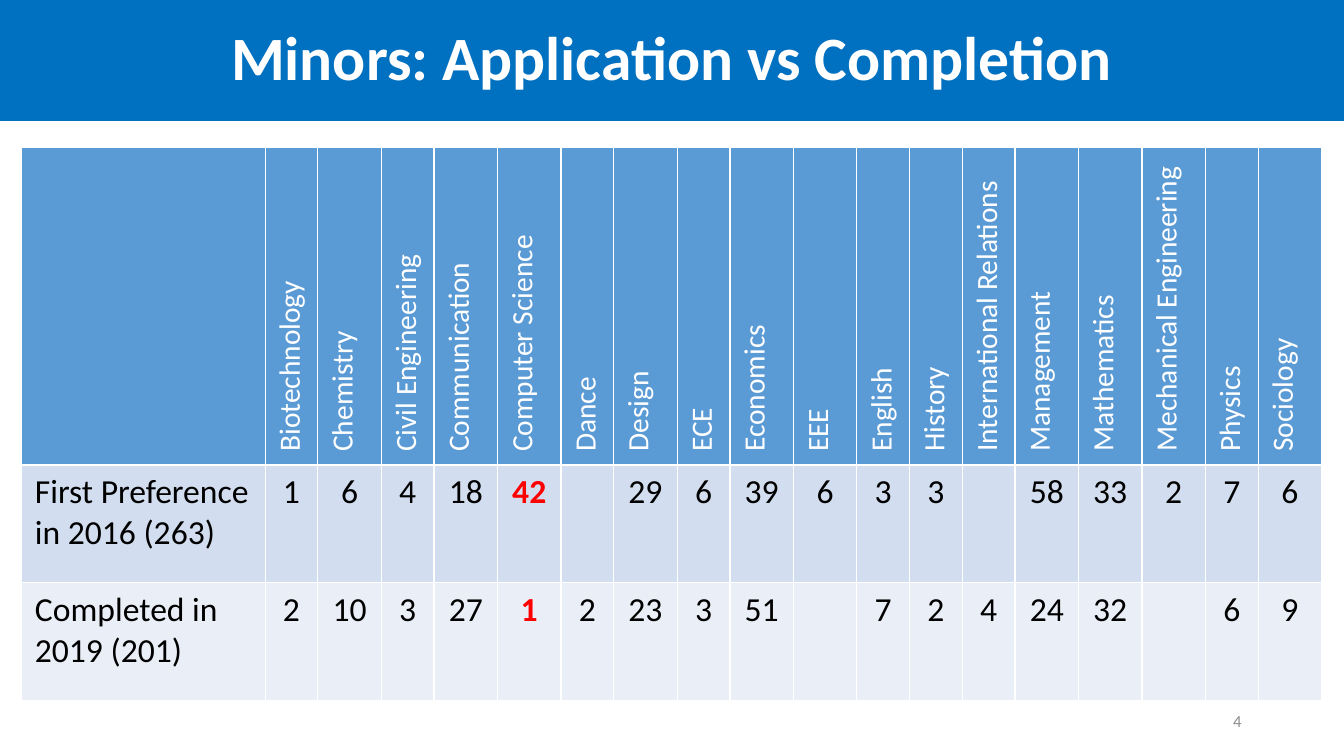
from pptx import Presentation
from pptx.dml.color import RGBColor
from pptx.enum.text import MSO_ANCHOR as Anchor, MSO_AUTO_SIZE as AutoSize, PP_ALIGN as Align
from pptx.util import Pt

FONT = "Calibri"
WHITE = RGBColor(0xFF, 0xFF, 0xFF)
BLACK = RGBColor(0, 0, 0)
RED = RGBColor(0xFF, 0, 0)
GREY = RGBColor(0x8C, 0x8C, 0x8C)
TITLE_BLUE = RGBColor(0x00, 0x70, 0xC0)
HEADER_BLUE = RGBColor(0x5B, 0x9B, 0xD5)
ROW_FILLS = [RGBColor(0xD2, 0xDE, 0xEF), RGBColor(0xEA, 0xEF, 0xF7)]

LABEL_WIDTH, NARROW, WIDE = 174, 37.7, 45.35
HEADER_HEIGHT = 226.8
ROW_LABELS = ["First Preference in 2016 (263)", "Completed in 2019 (201)"]
HIGHLIGHT = "Computer Science"
# Minor, column width, first preferences, completions
MINORS = [
    ("Biotechnology", NARROW, "1", "2"),
    ("Chemistry", WIDE, "6", "10"),
    ("Civil Engineering", NARROW, "4", "3"),
    ("Communication", WIDE, "18", "27"),
    ("Computer Science", WIDE, "42", "1"),
    ("Dance", NARROW, "", "2"),
    ("Design", WIDE, "29", "23"),
    ("ECE", NARROW, "6", "3"),
    ("Economics", WIDE, "39", "51"),
    ("EEE", WIDE, "6", ""),
    ("English", NARROW, "3", "7"),
    ("History", NARROW, "3", "2"),
    ("International Relations", NARROW, "", "4"),
    ("Management", WIDE, "58", "24"),
    ("Mathematics", WIDE, "33", "32"),
    ("Mechanical Engineering", WIDE, "2", ""),
    ("Physics", NARROW, "7", "6"),
    ("Sociology", WIDE, "6", "9"),
]


def style_paragraph(paragraph, size, color, bold=False, align=Align.LEFT):
    """Set the font and alignment of a whole paragraph."""
    paragraph.alignment = align
    font = paragraph.font
    font.name, font.size, font.bold = FONT, Pt(size), bold
    font.color.rgb = color


def add_title(slide, left, top, width, height):
    """Turn the title placeholder into a coloured band."""
    title = slide.shapes.title
    title.left, title.top, title.width, title.height = map(Pt, (left, top, width, height))
    title.fill.solid()
    title.fill.fore_color.rgb = TITLE_BLUE
    frame = title.text_frame
    frame.text = "Minors: Application vs Completion"
    frame.auto_size = AutoSize.NONE
    frame.vertical_anchor = Anchor.MIDDLE
    paragraph = frame.paragraphs[0]
    paragraph.line_spacing = 0.9
    style_paragraph(paragraph, 44, WHITE, bold=True, align=Align.CENTER)


def fill_cell(cell, text, fill, size, color, **style):
    """Fill one table cell and write its text."""
    cell.fill.solid()
    cell.fill.fore_color.rgb = fill
    cell.margin_left = cell.margin_right = Pt(9.6)
    cell.margin_top = cell.margin_bottom = Pt(4.8)
    cell.text = text
    style_paragraph(cell.text_frame.paragraphs[0], size, color, **style)


def add_minors_table(slide, left, top, width, height):
    """Add the table with one column per minor and one row per measure."""
    table = slide.shapes.add_table(
        len(ROW_LABELS) + 1, len(MINORS) + 1, Pt(left), Pt(top), Pt(width), Pt(height)).table
    row_height = (height - HEADER_HEIGHT) / len(ROW_LABELS)
    for row, points in zip(table.rows, [HEADER_HEIGHT] + [row_height] * len(ROW_LABELS)):
        row.height = Pt(points)

    table.columns[0].width = Pt(LABEL_WIDTH)
    fill_cell(table.cell(0, 0), "", HEADER_BLUE, 21, WHITE)
    for row, (label, fill) in enumerate(zip(ROW_LABELS, ROW_FILLS), 1):
        fill_cell(table.cell(row, 0), label, fill, 24, BLACK)

    for column, (name, column_width, *values) in enumerate(MINORS, 1):
        table.columns[column].width = Pt(column_width)
        header = table.cell(0, column)
        fill_cell(header, name, HEADER_BLUE, 21, WHITE)
        header.vertical_anchor = Anchor.MIDDLE
        header._tc.get_or_add_tcPr().set("vert", "vert270")
        marked = name == HIGHLIGHT
        for row, (value, fill) in enumerate(zip(values, ROW_FILLS), 1):
            fill_cell(table.cell(row, column), value, fill, 24, RED if marked else BLACK,
                      bold=marked, align=Align.CENTER)


def add_page_number(slide, left, top, width, height):
    """Add the page number at the right of its box."""
    box = slide.shapes.add_textbox(Pt(left), Pt(top), Pt(width), Pt(height))
    frame = box.text_frame
    frame.word_wrap = True
    frame.vertical_anchor = Anchor.MIDDLE
    frame.text = "4"
    style_paragraph(frame.paragraphs[0], 12, GREY, align=Align.RIGHT)


def main():
    """Build and save the slide."""
    presentation = Presentation()
    presentation.slide_width, presentation.slide_height = Pt(960), Pt(540)
    slide = presentation.slides.add_slide(presentation.slide_layouts[5])
    add_title(slide, 0, 0, 960, 86.4)
    add_minors_table(slide, 15.4, 105.4, 929.1, 395)
    add_page_number(slide, 678, 500.5, 216, 28.75)
    presentation.save("out.pptx")


main()
